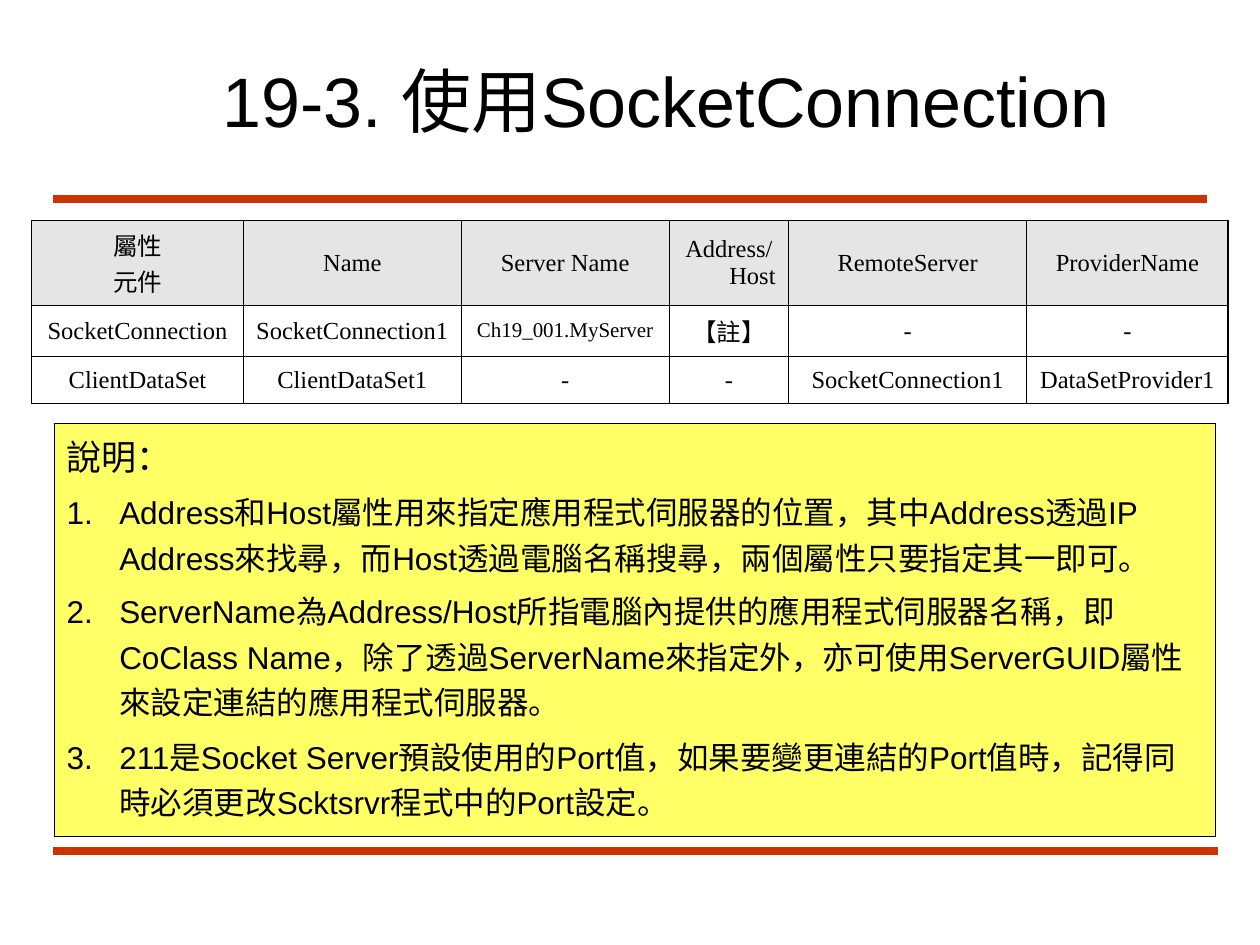
import pptx
import pptx.util
import pptx.dml.color
import pptx.enum.text
import pptx.enum.shapes
import pptx.oxml
import pptx.oxml.ns

Cm, Pt = pptx.util.Cm, pptx.util.Pt
HUES = {"ink": "000000", "rule": "CC3300", "head": "E5E5E5", "note": "FFFF66"}
SANS, SERIF, HAN = "Arial", "Times New Roman", "Noto Sans CJK TC"
TITLE = "19-3. 使用SocketConnection"
RULES = [(1.07, 4.01, 24.33), (1.07, 17.15, 24.56)]
WIDTHS = [4.27, 4.39, 4.19, 2.41, 4.8, 4.06]
HEIGHTS = [1.7, 1.04, 0.94]
ROWS = [
    ["屬性\n元件", "Name", "Server Name", "Address/Host", "RemoteServer", "ProviderName"],
    ["SocketConnection", "SocketConnection1", "Ch19_001.MyServer", "【註】", "-", "-"],
    ["ClientDataSet", "ClientDataSet1", "-", "-", "SocketConnection1", "DataSetProvider1"],
]
SMALL = "Ch19_001.MyServer"
NOTES = [
    ("說明：", 20, 5, False),
    ("Address和Host屬性用來指定應用程式伺服器的位置，其中Address透過IP Address來找尋，"
     "而Host透過電腦名稱搜尋，兩個屬性只要指定其一即可。", 18, 4.5, True),
    ("ServerName為Address/Host所指電腦內提供的應用程式伺服器名稱，即CoClass Name，"
     "除了透過ServerName來指定外，亦可使用ServerGUID屬性來設定連結的應用程式伺服器。", 18, 4.5, True),
    ("211是Socket Server預設使用的Port值，如果要變更連結的Port值時，"
     "記得同時必須更改Scktsrvr程式中的Port設定。", 18, 5, True),
]


def tint(name):
    return pptx.dml.color.RGBColor.from_string(HUES[name])


def node(tag, host, **attrs):
    item = pptx.oxml.parse_xml(f"<a:{tag} {pptx.oxml.ns.nsdecls('a')}/>")
    for key, val in attrs.items():
        item.set(key, str(val))
    host.append(item)
    return item


def write(para, text, size, face):
    run = para.add_run()
    run.text = text
    run.font.size = Pt(size)
    run.font.name = face
    run.font.color.rgb = tint("ink")
    node("ea", run._r.get_or_add_rPr(), typeface=HAN)


def hang(para, depth):
    props = para._p.get_or_add_pPr()
    props.set("marL", str(Cm(depth)))
    props.set("indent", str(-Cm(depth)))
    return props


def edge(cell, **pts):
    props = cell._tc.get_or_add_tcPr()
    for side in "LRTB":
        line = node("ln" + side, props, w=Pt(pts.get(side, 0.45)))
        node("srgbClr", node("solidFill", line), val=HUES["ink"])


def grid(slide, left, top, cols, rows):
    frame = slide.shapes.add_table(len(rows), len(cols), Cm(left), Cm(top),
                                   Cm(sum(cols)), Cm(sum(rows)))
    table = frame.table
    table.first_row = table.horz_banding = False
    for col, size in zip(table.columns, cols):
        col.width = Cm(size)
    for row, size in zip(table.rows, rows):
        row.height = Cm(size)
    return table


deck = pptx.Presentation()
deck.slide_width, deck.slide_height = Cm(25.4), Cm(19.05)
slide = deck.slides.add_slide(deck.slide_layouts[6])

for left, top, right in RULES:
    rule = slide.shapes.add_connector(pptx.enum.shapes.MSO_CONNECTOR.STRAIGHT,
                                      Cm(left), Cm(top), Cm(right), Cm(top))
    rule.line.color.rgb = tint("rule")
    rule.line.width = Pt(4.5)
    node("effectLst", rule._element.spPr)

box = slide.shapes.add_textbox(Cm(4.24), Cm(0.84), Cm(19.25), Cm(2.34)).text_frame
box.word_wrap = True
box.vertical_anchor = pptx.enum.text.MSO_ANCHOR.MIDDLE
write(box.paragraphs[0], TITLE, 40, SANS)

table = grid(slide, 0.64, 4.45, WIDTHS, HEIGHTS)
for r, row in enumerate(ROWS):
    for c, text in enumerate(row):
        cell = table.cell(r, c)
        outer = {"L": c == 0, "R": c == len(row) - 1, "T": r == 0, "B": r == len(ROWS) - 1}
        edge(cell, **{side: 0.96 for side, hit in outer.items() if hit})
        if r == 0:
            cell.fill.solid()
            cell.fill.fore_color.rgb = tint("head")
        else:
            cell.fill.background()
        cell.vertical_anchor = pptx.enum.text.MSO_ANCHOR.MIDDLE
        for i, line in enumerate(text.split("\n")):
            para = cell.text_frame.paragraphs[0] if i == 0 else cell.text_frame.add_paragraph()
            para.alignment = pptx.enum.text.PP_ALIGN.CENTER
            hang(para, 0.95)
            write(para, line, 12 if line == SMALL else 14, SERIF)

cell = grid(slide, 1.09, 8.53, [23.4], [8.33]).cell(0, 0)
edge(cell)
cell.fill.solid()
cell.fill.fore_color.rgb = tint("note")
for i, (text, size, gap, listed) in enumerate(NOTES):
    para = cell.text_frame.paragraphs[0] if i == 0 else cell.text_frame.add_paragraph()
    props = hang(para, 1.06)
    if listed:
        node("buFont", props, typeface=SANS)
        node("buAutoNum", props, type="arabicPeriod")
    if i:
        para.space_before = Pt(gap)
    write(para, text, size, SANS)

deck.save("out.pptx")
